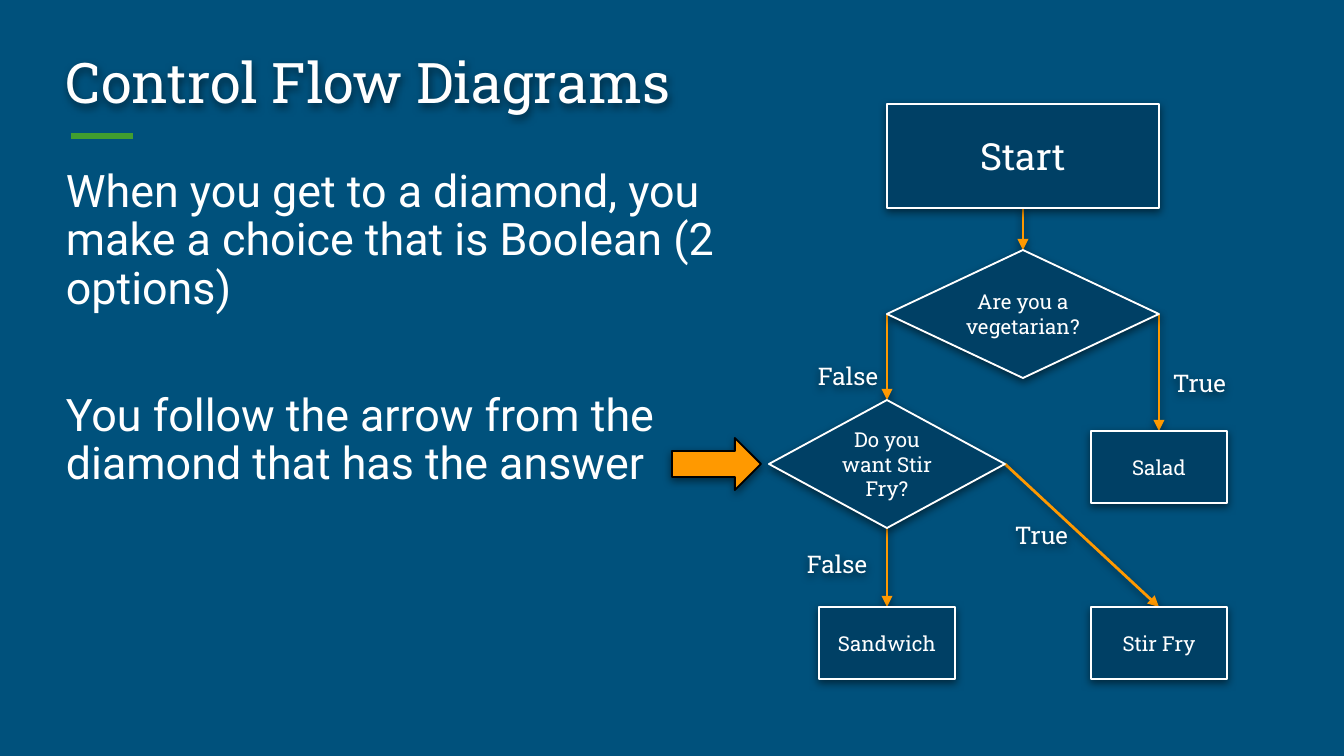
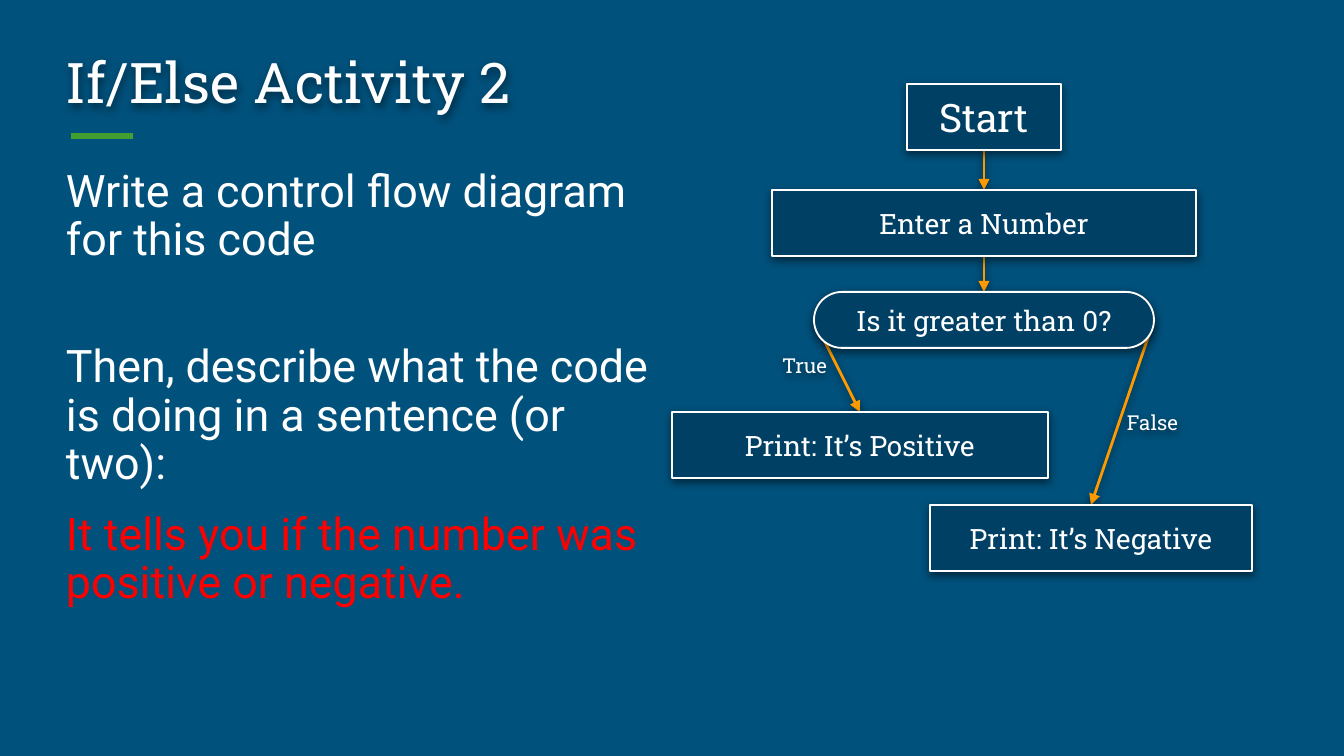
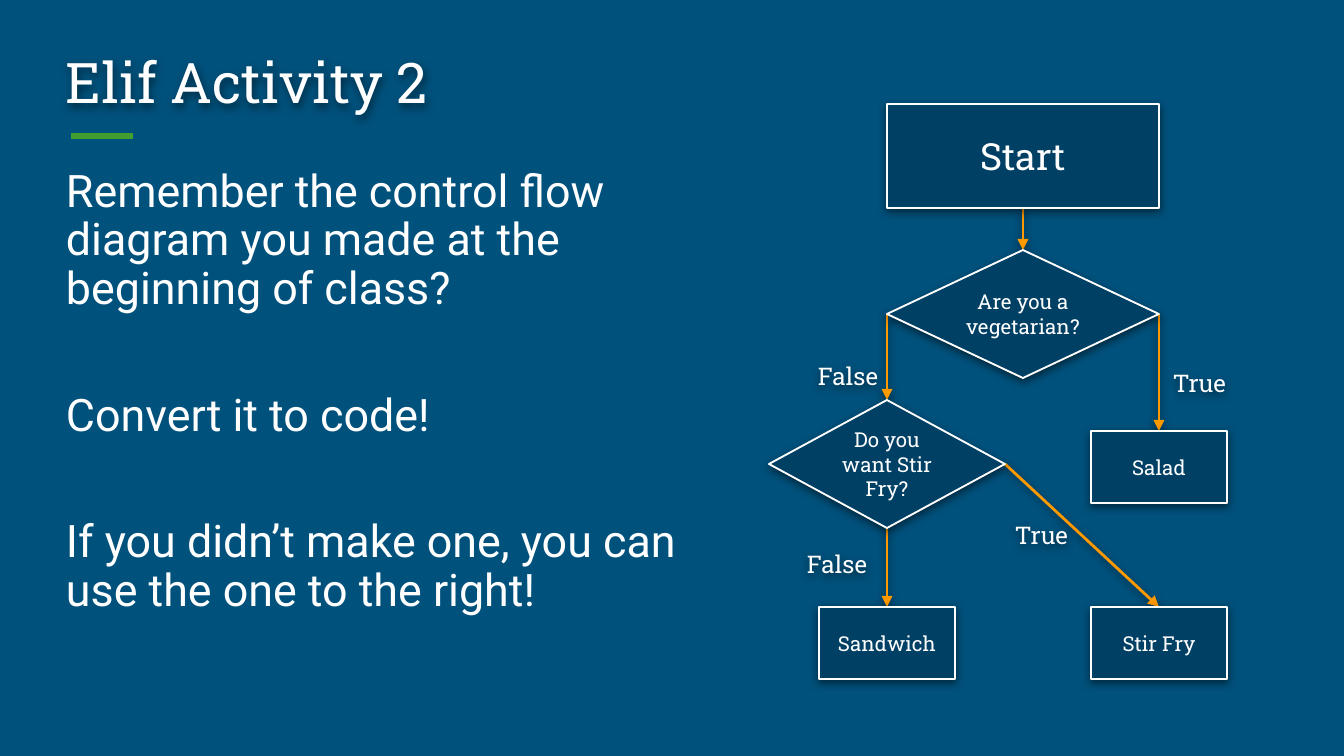
"""Build three slides on control flow diagrams."""
from lxml.etree import SubElement
from pptx import Presentation
from pptx.dml.color import RGBColor
from pptx.enum.shapes import MSO_CONNECTOR, MSO_SHAPE
from pptx.enum.text import MSO_ANCHOR, PP_ALIGN
from pptx.oxml.ns import qn
from pptx.util import Pt

PX = 914400 / 134.4
BLUE, NAVY, GREEN, ORANGE = "00517C", "004065", "419E2F", "FF9900"
WHITE, BLACK, RED = "FFFFFF", "000000", "FF0000"
SLAB, SANS = "Roboto Slab", "Roboto"
TOP, LEFT, BOTTOM, RIGHT = range(4)
BOX, DIAMOND, PILL = MSO_SHAPE.RECTANGLE, MSO_SHAPE.FLOWCHART_DECISION, MSO_SHAPE.ROUNDED_RECTANGLE
NEAR, FAR = 12, 42

# Nodes: kind, text, centre x, top, width, height, text size.
FOOD = {
    "nodes": {
        "start": (BOX, "Start", 1023, 104, 272, 104, 20),
        "vegetarian": (DIAMOND, "Are you a vegetarian?", 1023, 250, 272, 128, 11),
        "want_fry": (DIAMOND, "Do you want Stir Fry?", 887, 400, 236, 128, 11),
        "salad": (BOX, "Salad", 1159, 431, 136, 72, 11),
        "sandwich": (BOX, "Sandwich", 887, 607, 136, 72, 11),
        "stir_fry": (BOX, "Stir Fry", 1159, 607, 136, 72, 11),
    },
    "edges": [
        ("start", BOTTOM, "vegetarian", TOP),
        ("vegetarian", LEFT, "want_fry", TOP),
        ("vegetarian", RIGHT, "salad", TOP),
        ("want_fry", RIGHT, "stir_fry", TOP),
        ("want_fry", BOTTOM, "sandwich", TOP),
    ],
    "labels": [
        ("False", 797, 544, 87),
        ("False", 808, 356, 82),
        ("True", 1163, 363, 82),
        ("True", 1005, 515, 77),
    ],
    "label_size": 13,
}
NUMBER = {
    "nodes": {
        "start": (BOX, "Start", 984, 84, 154, 66, 21),
        "enter": (BOX, "Enter a Number", 984, 190, 424, 66, 15),
        "greater": (PILL, "Is it greater than 0?", 984, 292, 340, 56, 15),
        "positive": (BOX, "Print: It’s Positive", 860, 412, 376, 66, 15),
        "negative": (BOX, "Print: It’s Negative", 1091, 505, 322, 66, 15),
    },
    "edges": [
        ("start", BOTTOM, "enter", TOP),
        ("enter", BOTTOM, "greater", TOP),
        ("greater", LEFT, "positive", TOP),
        ("greater", RIGHT, "negative", TOP),
    ],
    "labels": [("True", 772, 348, 66), ("False", 1117, 405, 73)],
    "label_size": 11,
}
SLIDES = [
    {
        "title": "Control Flow Diagrams",
        "body_width": 711,
        "body": [
            ("When you get to a diamond, you make a choice that is Boolean (2 options)", 0, WHITE),
            ("You follow the arrow from the diamond that has the answer", FAR, WHITE),
        ],
        "flow": FOOD,
        "pointer": (672, 438, 89, 52),
    },
    {
        "title": "If/Else Activity 2",
        "body_width": 610,
        "body": [
            ("Write a control flow diagram for this code", 0, WHITE),
            ("Then, describe what the code is doing in a sentence (or two):", FAR, WHITE),
            ("It tells you if the number was positive or negative.", NEAR, RED),
        ],
        "flow": NUMBER,
    },
    {
        "title": "Elif Activity 2",
        "body_width": 711,
        "body": [
            ("Remember the control flow diagram you made at the beginning of class?", 0, WHITE),
            ("Convert it to code!", FAR, WHITE),
            ("If you didn’t make one, you can use the one to the right!", FAR, WHITE),
        ],
        "flow": FOOD,
    },
]


def px(*values):
    return [round(v * PX) for v in values]


def rgb(color):
    return RGBColor.from_string(color)


def add_effects(sp, shadow=True):
    effects = SubElement(sp._element.spPr, qn("a:effectLst"))
    if shadow:
        outer = SubElement(effects, qn("a:outerShdw"), blurRad="57150", dist="19050",
                           dir="5400000", algn="bl", rotWithShape="0")
        color = SubElement(outer, qn("a:srgbClr"), val=BLACK)
        SubElement(color, qn("a:alpha"), val="50000")


def write(sp, paragraphs, size, font, align=PP_ALIGN.LEFT, anchor=MSO_ANCHOR.TOP, spacing=None):
    tf = sp.text_frame
    tf.word_wrap = True
    tf.vertical_anchor = anchor
    tf.margin_left = tf.margin_right = px(10)[0]
    tf.margin_top = tf.margin_bottom = px(5)[0]
    for i, (text, before, color) in enumerate(paragraphs):
        p = tf.add_paragraph() if i else tf.paragraphs[0]
        p.text = text
        p.alignment = align
        p.line_spacing = spacing
        p.space_before = Pt(before)
        f = p.runs[0].font
        f.name, f.size = font, Pt(size)
        f.color.rgb = rgb(color)


def add_text(s, at, paragraphs, size, font, shadow=True, **style):
    sp = s.shapes.add_textbox(*px(*at))
    write(sp, paragraphs, size, font, **style)
    if shadow:
        add_effects(sp)


def add_filled(s, kind, at, fill, line):
    sp = s.shapes.add_shape(kind, *px(*at))
    sp.fill.solid()
    sp.fill.fore_color.rgb = rgb(fill)
    sp.line.color.rgb = rgb(line)
    sp.line.width = Pt(1)
    add_effects(sp)
    return sp


def add_line(s, ends, color, width, shadow=False):
    c = s.shapes.add_connector(MSO_CONNECTOR.STRAIGHT, *px(*ends))
    c.line.color.rgb = rgb(color)
    c.line.width = Pt(width)
    add_effects(c, shadow)
    return c


def add_flow(s, flow):
    nodes = {}
    for name, (kind, text, cx, y, w, h, size) in flow["nodes"].items():
        sp = nodes[name] = add_filled(s, kind, (cx - w / 2, y, w, h), NAVY, WHITE)
        if kind == PILL:
            sp.adjustments[0] = 0.5
        write(sp, [(text, 0, WHITE)], size, SLAB, PP_ALIGN.CENTER, MSO_ANCHOR.MIDDLE)
    for start, start_side, end, end_side in flow["edges"]:
        c = add_line(s, (0, 0, 0, 0), ORANGE, 1.5, shadow=True)
        c.begin_connect(nodes[start], start_side)
        c.end_connect(nodes[end], end_side)
        SubElement(c.line._get_or_add_ln(), qn("a:tailEnd"), type="triangle")
        s.shapes._spTree.insert(2, c._element)
    size = flow["label_size"]
    for text, x, y, w in flow["labels"]:
        add_text(s, (x, y, w, 2 * size + 13), [(text, 0, WHITE)], size, SLAB)


def add_slide(prs, content):
    s = prs.slides.add_slide(prs.slide_layouts[6])
    s.background.fill.solid()
    s.background.fill.fore_color.rgb = rgb(BLUE)
    add_line(s, (71, 136, 133, 136), GREEN, 3)
    add_text(s, (56, 35, 1230, 101), [(content["title"], 0, WHITE)], 30, SLAB,
             anchor=MSO_ANCHOR.MIDDLE, spacing=0.9)
    add_text(s, (56, 164, content["body_width"], 507), content["body"], 24, SANS,
             shadow=False, spacing=0.9)
    if "pointer" in content:
        add_filled(s, MSO_SHAPE.RIGHT_ARROW, content["pointer"], ORANGE, BLACK)
    add_flow(s, content["flow"])


def main():
    prs = Presentation()
    prs.slide_width, prs.slide_height = px(1344, 756)
    for content in SLIDES:
        add_slide(prs, content)
    prs.save("out.pptx")


if __name__ == "__main__":
    main()
